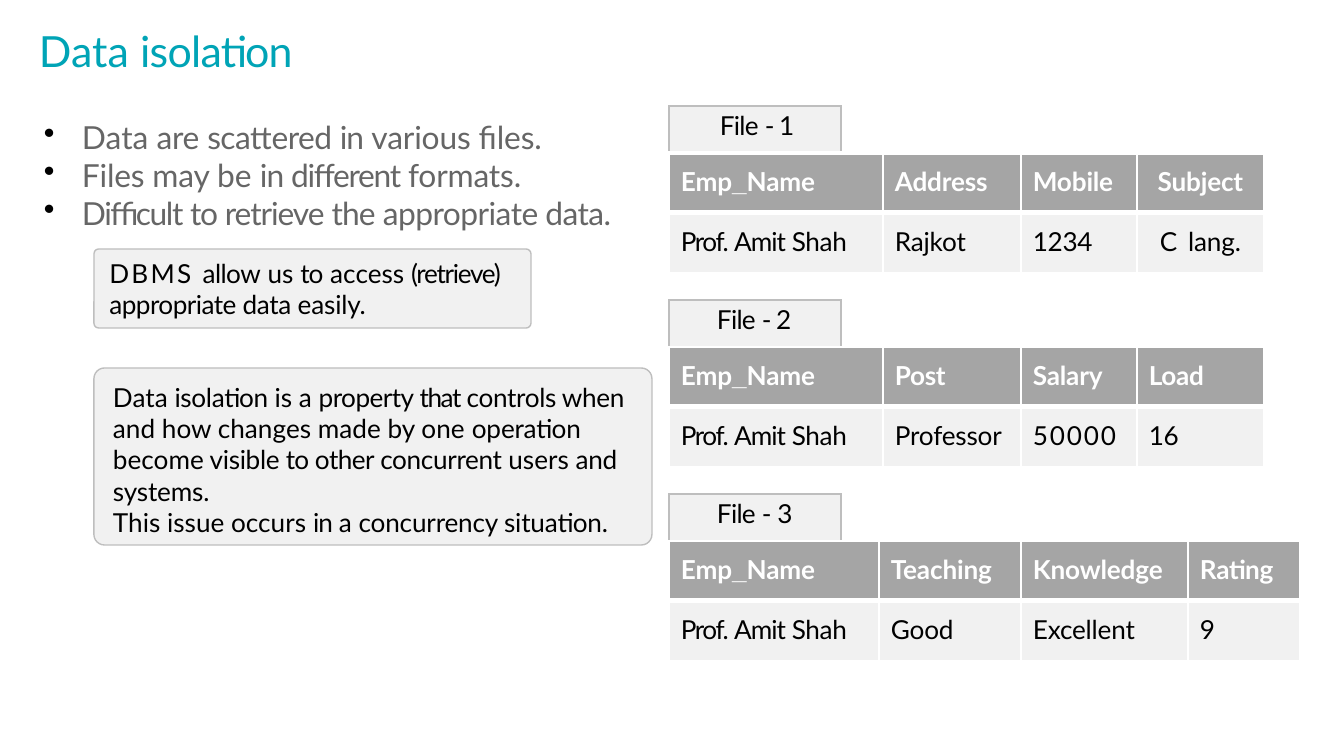
import pptx
import pptx.util
import pptx.dml.color
import pptx.enum.shapes
import pptx.enum.text
import pptx.oxml
import lxml.etree

PX = 914400 / 134.4
GREY = "BEBEBE"
PALE = "F1F1F1"
WHITE = "FFFFFF"
BLACK = "000000"
LEFT = pptx.enum.text.PP_ALIGN.LEFT
CENTER = pptx.enum.text.PP_ALIGN.CENTER
TOP = pptx.enum.text.MSO_ANCHOR.TOP


def rgb(value):
    return pptx.dml.color.RGBColor.from_string(value)


def write(paragraph, pieces, size, color, bold=False):
    paragraph.alignment = LEFT
    paragraph.font.name = "Lato"
    paragraph.font.size = pptx.util.Pt(size)
    paragraph.font.bold = bold
    paragraph.font.color.rgb = rgb(color)
    for text, spacing in pieces:
        run = paragraph.add_run()
        run.text = text
        run.font._element.set("spc", str(round(spacing * 100)))
        if text == "_":
            run.font.name = "Arial"


deck = pptx.Presentation()
deck.slide_width = round(1344 * PX)
deck.slide_height = round(756 * PX)
slide = deck.slides.add_slide(deck.slide_layouts[5])

title = slide.shapes.title
title.left, title.top, title.width, title.height = [round(v * PX) for v in (39, 25, 908, 55)]
heading = title.text_frame
heading.margin_left = heading.margin_right = heading.margin_top = heading.margin_bottom = 0
heading.vertical_anchor = TOP
write(heading.paragraphs[0], [("Data ", 0), ("isolation", -0.4)], 23, "00A4B6")

emp_name = [("Emp", -0.1), ("_", -0.1), ("Name", -0.1)]
professor_name = [("Prof. ", -0.8), ("Amit ", -0.5), ("Shah", -0.2)]
files = [
    ([("File ", -0.4), ("- ", -1.1), ("1", -3.2)], 51, 2.25, [172, 42, 138, 116, 127],
     [("Address", -0.1), ("Mobile", -0.1), ("Subject", -0.1)],
     [[("Rajkot", -0.1)], [("1234", -0.2)], [("C ", 1.1), ("lang.", -0.1)]]),
    ([("File ", -0.4), ("- ", -1.1), ("2", 0.3)], 48, 1.5, [172, 42, 138, 116, 127],
     [("Post", -0.2), ("Salary", -0.1), ("Load", -0.2)],
     [[("Professor", -0.1)], [("50000", 1)], [("16", -0.2)]]),
    ([("File ", -0.4), ("-", -1.1), (" 3", -0.5)], 48, 1.5, [172, 38, 142, 167, 112],
     [("Teaching", -0.1), ("Knowledge", -0.1), ("Rating", -0.1)],
     [[("Good", -0.1)], [("Excellent", -0.1)], [("9", 0.3)]]),
]
row_heights = [47, 60, 60]

for index, (label, label_indent, label_rule, widths, fields, values) in enumerate(files):
    frame = slide.shapes.add_table(3, 5, round(669 * PX), round((106 + 194 * index) * PX),
                                   round(sum(widths) * PX), round(sum(row_heights) * PX))
    records = frame.table
    records.horz_banding = False
    for column, width in zip(records.columns, widths):
        column.width = round(width * PX)
    for row, height in zip(records.rows, row_heights):
        row.height = round(height * PX)
    records.cell(0, 1).merge(records.cell(0, 4))
    for r in (1, 2):
        records.cell(r, 0).merge(records.cell(r, 1))

    contents = {(0, 0): label, (1, 0): emp_name, (2, 0): professor_name}
    for c, (field, value) in enumerate(zip(fields, values), start=2):
        contents[1, c] = [field]
        contents[2, c] = value

    for r in range(3):
        for c in range(5):
            cell = records.cell(r, c)
            cell.margin_left = round((label_indent if r == 0 else 12) * PX)
            cell.margin_right = cell.margin_bottom = 0
            cell.margin_top = round((4 if r == 0 else 13) * PX)
            cell.vertical_anchor = TOP
            if (r, c) in contents:
                write(cell.text_frame.paragraphs[0], contents[r, c], 14,
                      WHITE if r == 1 else BLACK, r == 1)
            else:
                cell.text_frame.paragraphs[0].font.size = pptx.util.Pt(14)
            if index == 0 and r > 0 and c == 4:
                cell.margin_right = round(12 * PX)
                cell.text_frame.paragraphs[0].alignment = CENTER

            if r == 0 and c == 0:
                borders = [(GREY, 0.75), (GREY, 0.75), (GREY, 0.75), (WHITE, label_rule)]
            elif r == 0:
                borders = [(GREY if c == 1 else WHITE, 0.75), (WHITE, 1), (WHITE, 1), (WHITE, 1)]
            elif r == 1:
                borders = [(WHITE, 1), (WHITE, label_rule if c == 0 else 1), (WHITE, 1), (WHITE, 3)]
            else:
                borders = [(WHITE, 1), (WHITE, 3), (WHITE, 1), (WHITE, 1)]
            properties = cell._tc.get_or_add_tcPr()
            for side, (color, weight) in zip("LTRB", borders):
                properties.append(pptx.oxml.parse_xml(
                    f'<a:ln{side} xmlns:a="http://schemas.openxmlformats.org/drawingml/2006/main" '
                    f'w="{round(weight * 12700)}"><a:solidFill><a:srgbClr val="{color}"/>'
                    f'</a:solidFill></a:ln{side}>'))
            properties[:] = sorted(properties, key=lambda line: "LRTB".index(line.tag[-1]))
            if r == 0 and c > 0:
                cell.fill.background()
            else:
                cell.fill.solid()
                cell.fill.fore_color.rgb = rgb("A5A5A5" if r == 1 else PALE)

notes = [
    (249, 437, 79, 0.06, 14, 7, [
        [("DBMS ", 1.2), ("allow", -0.3), (" us ", 0), ("to", -0.5), (" access ", 0),
         ("(retrieve) ", -0.7), ("appropriate ", -0.3), ("data ", -0.2), ("easily.", -0.1)]]),
    (368, 558, 177, 0.06, 16, 10, [
        [("Data ", 0), ("isolation ", -0.2), ("is a ", 0), ("property ", -0.3), ("that ", -0.8),
         ("controls when ", -0.2), ("and how changes made by one ", 0), ("operation ", -0.1),
         ("become", 0), (" visible ", -0.2), ("to ", -0.5), ("other ", -0.3),
         ("concurrent ", -0.2), ("users ", 0), ("and ", -0.2), ("systems.", -0.1)],
        [("This issue occurs ", 0), ("in ", -0.5), ("a ", 0), ("concurrency situation.", -0.1)]]),
]
for top, width, height, rounding, inset_left, inset_top, paragraphs in notes:
    note = slide.shapes.add_shape(pptx.enum.shapes.MSO_SHAPE.ROUNDED_RECTANGLE,
                                  round(94 * PX), round(top * PX), round(width * PX), round(height * PX))
    note.adjustments[0] = rounding
    note.shadow.inherit = False
    note.fill.solid()
    note.fill.fore_color.rgb = rgb(PALE)
    note.line.color.rgb = rgb(GREY)
    note.line.width = pptx.util.Pt(0.75)
    body = note.text_frame
    body.word_wrap = True
    body.vertical_anchor = TOP
    body.margin_left = round(inset_left * PX)
    body.margin_top = round(inset_top * PX)
    body.margin_right = body.margin_bottom = 0
    for number, pieces in enumerate(paragraphs):
        write(body.add_paragraph() if number else body.paragraphs[0], pieces, 14, BLACK)

problems = slide.shapes.add_textbox(round(43 * PX), round(118 * PX), round(594 * PX), round(118 * PX)).text_frame
problems.word_wrap = True
problems.margin_left = problems.margin_right = problems.margin_top = problems.margin_bottom = 0
points = [
    [("Data ", 0), ("are ", -0.2), ("scattered ", -0.3), ("in ", -0.5), ("various files.", -0.1)],
    [("Files may ", -0.1), ("be ", 0), ("in", -0.5), (" different ", -0.7), ("formats.", -0.1)],
    [("Difficult ", -0.8), ("to ", -0.7), ("retrieve ", -0.6), ("the ", -0.5), ("appropriate data.", -0.3)],
]
for number, pieces in enumerate(points):
    point = problems.add_paragraph() if number else problems.paragraphs[0]
    write(point, pieces, 17, "666666")
    layout = point._p.get_or_add_pPr()
    layout.set("marL", str(round(39 * PX)))
    layout.set("indent", str(round(-38 * PX)))
    layout.insert(0, pptx.oxml.parse_xml(
        '<a:buClr xmlns:a="http://schemas.openxmlformats.org/drawingml/2006/main">'
        f'<a:srgbClr val="{BLACK}"/></a:buClr>'))
    layout.insert(1, pptx.oxml.parse_xml(
        '<a:buChar xmlns:a="http://schemas.openxmlformats.org/drawingml/2006/main" char="•"/>'))

deck.save("out.pptx")
